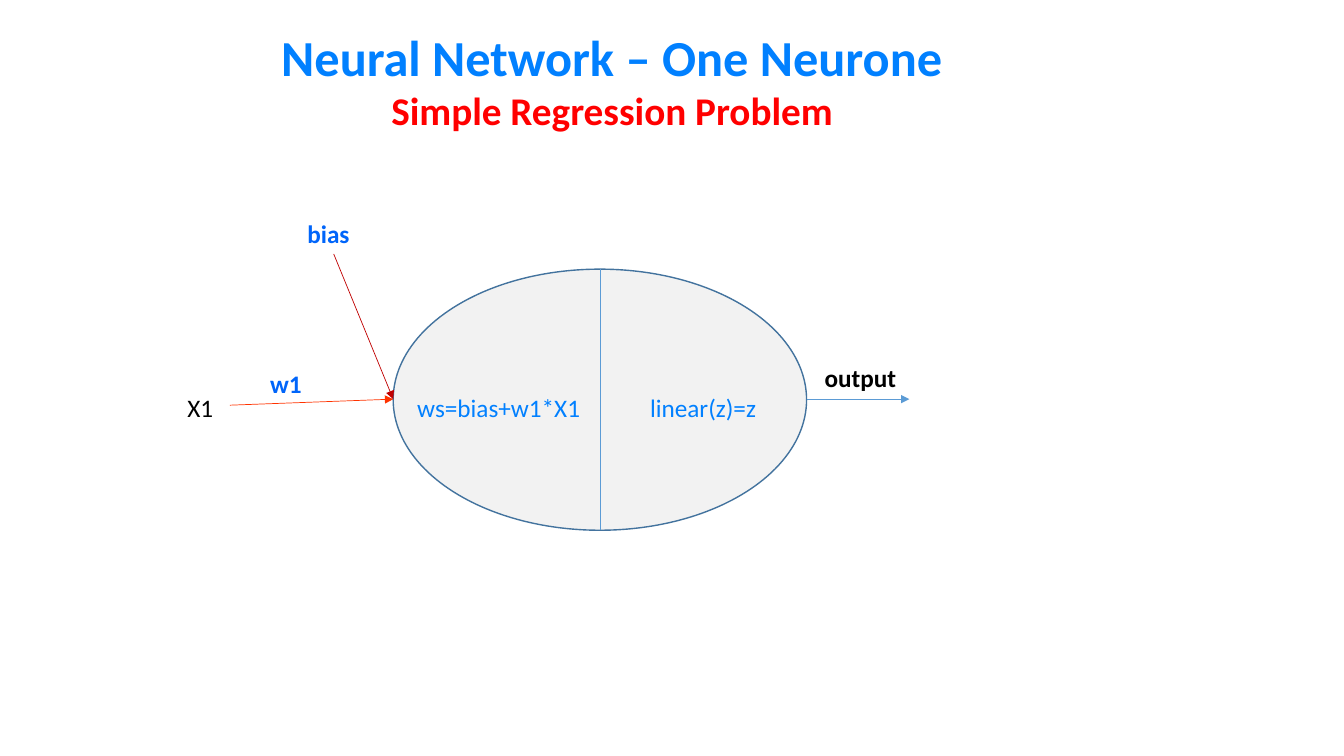
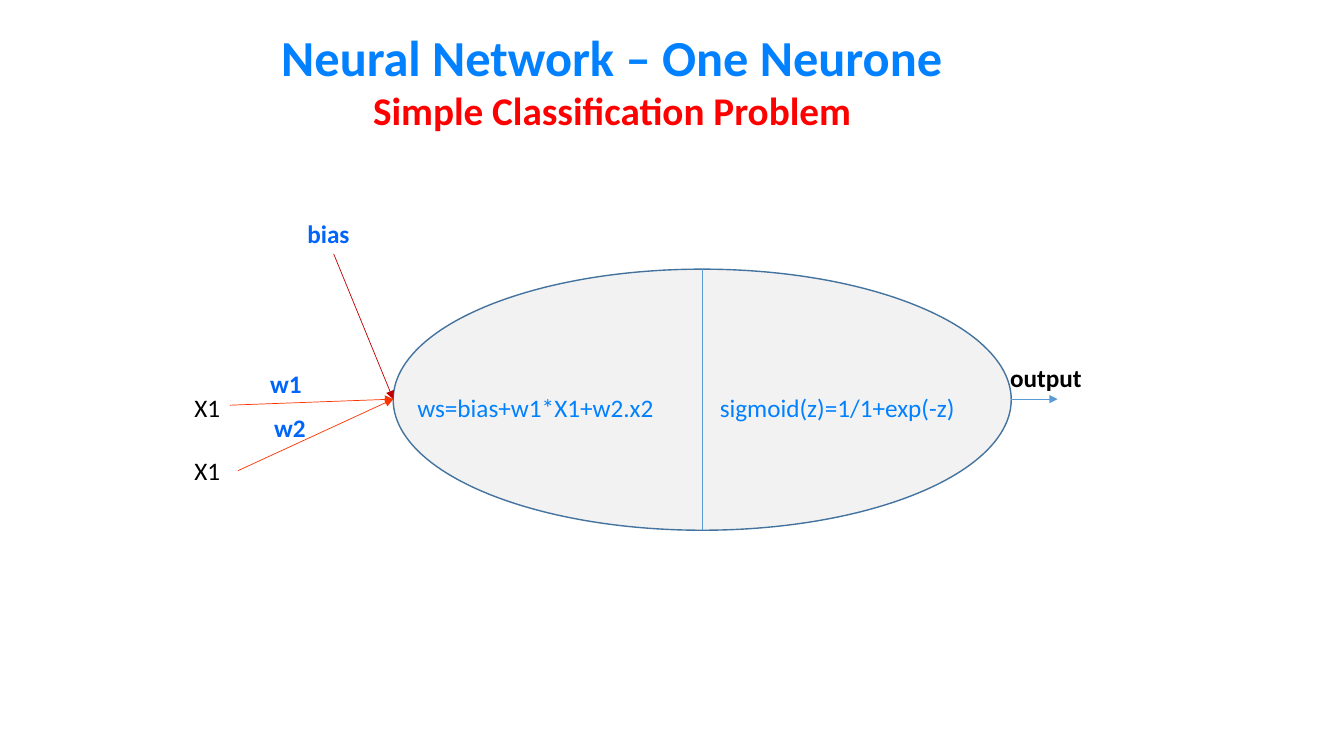
from dataclasses import dataclass

from lxml.etree import SubElement
from pptx import Presentation
from pptx.dml.color import RGBColor
from pptx.enum.shapes import MSO_CONNECTOR, MSO_SHAPE
from pptx.enum.text import MSO_ANCHOR, MSO_AUTO_SIZE, PP_ALIGN
from pptx.oxml.ns import qn
from pptx.slide import Slide
from pptx.text.text import Font
from pptx.util import Inches, Pt

HUES = {
    "title": "0180FF", "sub": "FF0000", "weight": "0065FA", "text": "000000",
    "cell": "F2F2F2", "edge": "43739E", "line": "5B9BD5",
    "input": "FF3300", "bias": "C00000",
}
FACE = "Calibri"
HEAD = "Neural Network – One Neurone"

# Neurone frame, the same on both slides
LEFT, TOP, HIGH = 3.9, 2.67, 2.59
MID = 3.96


@dataclass
class Label:
    text: str
    left: float
    top: float
    width: float
    hue: str = "text"
    bold: bool = False


@dataclass
class Line:
    x1: float
    y1: float
    x2: float
    y2: float
    hue: str = "line"
    arrow: bool = True


@dataclass
class Neurone:
    sub: str
    width: float
    reach: float
    labels: list[Label]
    inputs: list[Line]


# Parts that both slides share
LABELS = [
    Label("bias", 2.95, 2.12, 0.72, "weight", True),
    Label("w1", 2.58, 3.61, 0.72, "weight", True),
]
INPUTS = [
    Line(2.28, 4.02, LEFT, MID, "input"),
    Line(3.31, 2.52, LEFT, MID, "bias"),
]

PAGES = [
    Neurone("Simple Regression Problem", 4.1, 1.02, [
        Label("X1", 1.76, 3.84, 0.6),
        Label("ws=bias+w1*X1", 4.04, 3.84, 1.9, "title"),
        Label("linear(z)=z", 6.35, 3.84, 1.9, "title"),
        Label("output", 8.08, 3.55, 1.02, bold=True),
    ], []),
    Neurone("Simple Classification Problem", 6.13, 0.46, [
        Label("X1", 1.83, 3.84, 0.53),
        Label("X1", 1.83, 4.47, 0.53),
        Label("w2", 2.62, 4.04, 0.72, "weight", True),
        Label("ws=bias+w1*X1+w2.x2", 4.04, 3.84, 2.92, "title"),
        Label("sigmoid(z)=1/1+exp(-z)", 7.04, 3.84, 2.65, "title"),
        Label("output", 9.92, 3.55, 1.02, bold=True),
    ], [Line(2.36, 4.67, LEFT, MID, "input")]),
]


def tint(name: str) -> RGBColor:
    return RGBColor.from_string(HUES[name])


def style(font: Font, size: int, hue: str, bold: bool) -> None:
    font.name, font.size, font.bold = FACE, Pt(size), bold
    font.color.rgb = tint(hue)


def add_title(slide: Slide, sub: str) -> None:
    title = slide.shapes.title
    title.left, title.top = Inches(1.38), Inches(0.21)
    title.width, title.height = Inches(9.38), Inches(1.18)
    frame = title.text_frame
    frame.text = f"{HEAD}\n{sub}"
    frame.word_wrap = True
    frame.auto_size = MSO_AUTO_SIZE.NONE
    frame.vertical_anchor = MSO_ANCHOR.TOP
    for para, size, hue in zip(frame.paragraphs, (36, 28), ("title", "sub")):
        para.alignment = PP_ALIGN.CENTER
        style(para.runs[0].font, size, hue, True)


def add_cell(slide: Slide, width: float) -> None:
    cell = slide.shapes.add_shape(
        MSO_SHAPE.OVAL, Inches(LEFT), Inches(TOP), Inches(width), Inches(HIGH))
    cell.shadow.inherit = False
    cell.fill.solid()
    cell.fill.fore_color.rgb = tint("cell")
    cell.line.color.rgb = tint("edge")
    cell.line.width = Pt(1)


def add_line(slide: Slide, line: Line) -> None:
    ends = [Inches(v) for v in (line.x1, line.y1, line.x2, line.y2)]
    link = slide.shapes.add_connector(MSO_CONNECTOR.STRAIGHT, *ends)
    link.line.color.rgb = tint(line.hue)
    link.line.width = Pt(0.5)
    if line.arrow:
        SubElement(link.line._get_or_add_ln(), qn("a:tailEnd"), type="triangle")
    SubElement(link._element.spPr, qn("a:effectLst"))


def add_label(slide: Slide, label: Label) -> None:
    box = slide.shapes.add_textbox(
        Inches(label.left), Inches(label.top), Inches(label.width), Inches(0.4))
    frame = box.text_frame
    frame.word_wrap = True
    frame.auto_size = MSO_AUTO_SIZE.SHAPE_TO_FIT_TEXT
    frame.text = label.text
    style(frame.paragraphs[0].runs[0].font, 18, label.hue, label.bold)


def add_page(slide: Slide, page: Neurone) -> None:
    add_title(slide, page.sub)
    add_cell(slide, page.width)
    # Divider, inputs and output
    mid, right = LEFT + page.width / 2, LEFT + page.width
    split = Line(mid, TOP, mid, TOP + HIGH, arrow=False)
    out = Line(right, MID, right + page.reach, MID)
    for line in [split, *INPUTS, *page.inputs, out]:
        add_line(slide, line)
    for label in LABELS + page.labels:
        add_label(slide, label)


def main() -> None:
    deck = Presentation()
    deck.slide_width, deck.slide_height = Inches(13.33), Inches(7.5)
    for page in PAGES:
        add_page(deck.slides.add_slide(deck.slide_layouts[5]), page)
    deck.save("out.pptx")


if __name__ == "__main__":
    main()
